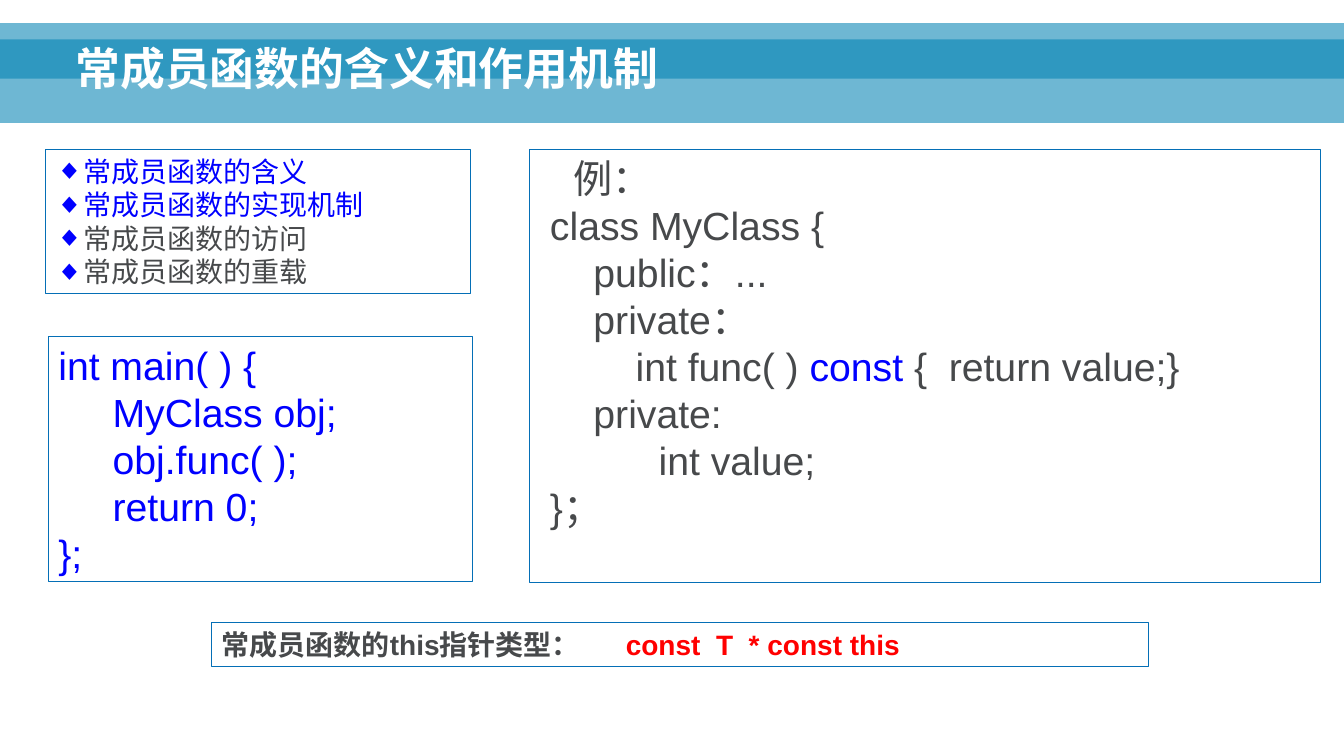
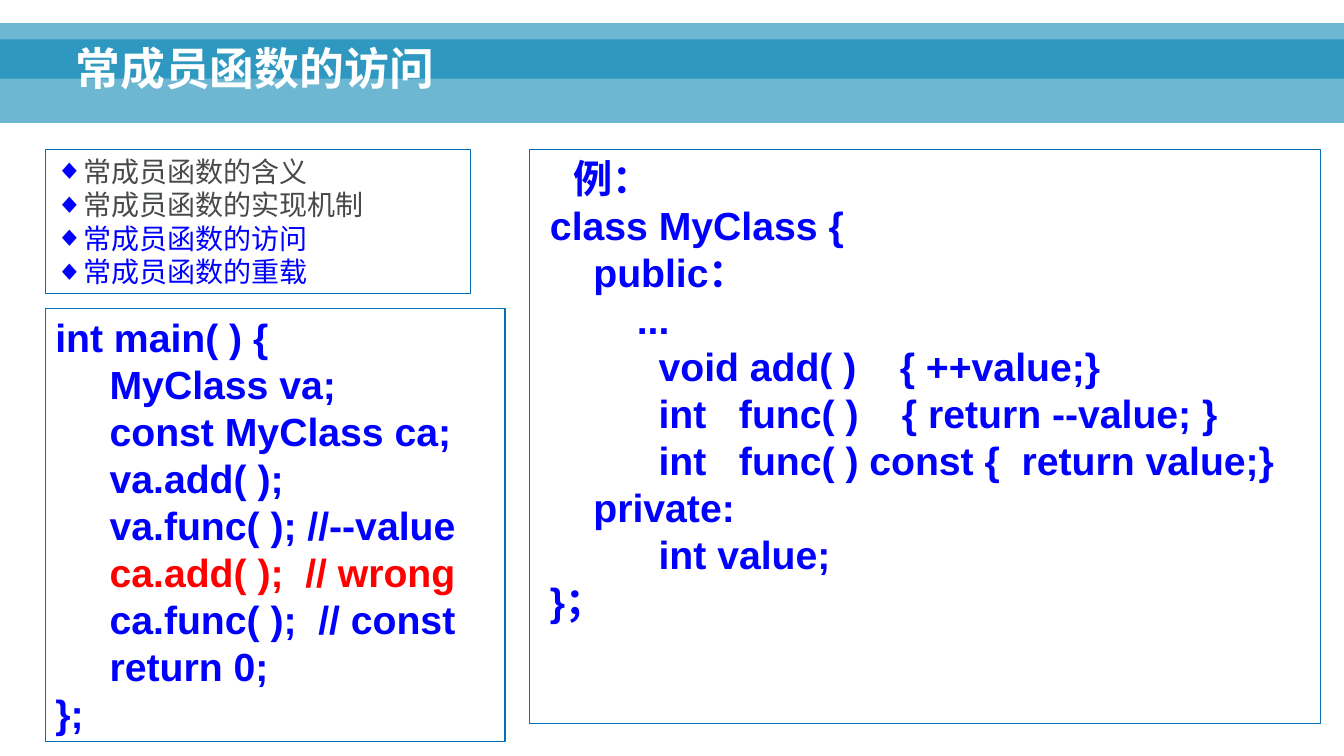
from dataclasses import dataclass

from lxml import etree
from pptx import Presentation
from pptx.dml.color import RGBColor
from pptx.enum.shapes import MSO_SHAPE
from pptx.enum.text import MSO_ANCHOR
from pptx.oxml.ns import qn
from pptx.util import Inches, Pt

RECT = MSO_SHAPE.RECTANGLE
TOP, BOTTOM = MSO_ANCHOR.TOP, MSO_ANCHOR.BOTTOM


@dataclass(frozen=True)
class Theme:
    font: str = "Arial"
    band: str = "0082B3"
    edge: str = "046FB6"
    white: str = "FFFFFF"
    blue: str = "0000FF"
    gray: str = "47494B"
    red: str = "FF0000"
    head: int = 32
    code: int = 28
    body: int = 20
    lead: float = 1.2
    alpha: int = 57


T = Theme()
WIDE, HIGH = Inches(13.333), Inches(7.5)

# Boxes: left, top, width, height in percent of the slide
BANDS = [(0, 5.2, 100, 11.07), (0, 3.07, 100, 7.33)]
TITLE = (4.88, 1.6, 89.85, 11.6)
LIST = (3.38, 19.73, 31.65, 19.07)
CLASS = (39.38, 19.73, 58.88, 57.33)
TALL = (*CLASS[:3], 76)
MAIN = (3.6, 44.53, 31.58, 32.4)
LONG = (3.38, 40.8, 34.2, 57.33)
NOTE = (15.75, 82.4, 69.68, 5.73)

TOPICS = ["常成员函数的含义", "常成员函数的实现机制",
          "常成员函数的访问", "常成员函数的重载"]
LABEL = "例："


def place(box):
    """Turn percent shares into slide lengths."""
    sides = (WIDE, HIGH, WIDE, HIGH)
    return [round(side * part / 100) for side, part in zip(sides, box)]


def write(para, text, color, size, bold=False):
    """Add text in one style, with a line break at each newline."""
    for i, line in enumerate(text.split("\n")):
        if i:
            para.add_line_break()
        if line:
            run = para.add_run()
            run.text = line
            font = run.font
            font.name, font.size, font.bold = T.font, Pt(size), bold
            font.color.rgb = RGBColor.from_string(color)


def rect(slide, box):
    shape = slide.shapes.add_shape(RECT, *place(box))
    shape.shadow.inherit = False
    return shape


def frame(slide, box):
    """Add an outlined box and return its text frame."""
    shape = rect(slide, box)
    shape.fill.background()
    shape.line.color.rgb = RGBColor.from_string(T.edge)
    shape.line.width = Pt(0.75)
    text = shape.text_frame
    text.word_wrap = True
    text.vertical_anchor = TOP
    return text


def rows(text, count, size):
    """Return evenly led, left-aligned paragraphs."""
    paras = [text.paragraphs[0]]
    paras += [text.add_paragraph() for _ in range(count - 1)]
    for para in paras:
        para.alignment = 1
        para.line_spacing = Pt(size * T.lead)
    return paras


def indent(para, left, hang=0.0):
    props = para._p.get_or_add_pPr()
    props.set("marL", str(Inches(left)))
    props.set("indent", str(-Inches(hang)))
    return props


def header(slide, title):
    # Translucent bands
    for box in BANDS:
        band = rect(slide, box)
        band.fill.solid()
        band.fill.fore_color.rgb = RGBColor.from_string(T.band)
        color = band._element.spPr.find(".//" + qn("a:srgbClr"))
        etree.SubElement(color, qn("a:alpha"), val=str(T.alpha * 1000))
        band.line.fill.background()
    # Title
    text = slide.shapes.add_textbox(*place(TITLE)).text_frame
    text.word_wrap = True
    text.vertical_anchor = BOTTOM
    para = text.paragraphs[0]
    para.line_spacing = 0.9
    write(para, title, T.white, T.head, True)


def topics(slide, box, active):
    """List the topics, with the active ones in blue."""
    paras = rows(frame(slide, box), len(TOPICS), T.body)
    for i, (para, topic) in enumerate(zip(paras, TOPICS)):
        props = indent(para, 0.28, 0.28)
        color = etree.SubElement(props, qn("a:buClr"))
        etree.SubElement(color, qn("a:srgbClr"), val=T.blue)
        etree.SubElement(props, qn("a:buFont"), typeface=T.font)
        etree.SubElement(props, qn("a:buChar"), char="◆")
        write(para, topic, T.blue if i in active else T.gray, T.body)


def code(slide, box, parts, bold=False, label=None):
    """Show code given as paragraphs of (text, colour) runs."""
    if label:
        parts = [[(LABEL, label)], *parts]
    paras = rows(frame(slide, box), len(parts), T.code)
    if label:
        indent(paras[0], 0.34)
    for para, runs in zip(paras, parts):
        for text, color in runs:
            write(para, text, color, T.code, bold)


def note(slide, box, label, value):
    para = rows(frame(slide, box), 1, T.body)[0]
    tabs = etree.SubElement(para._p.get_or_add_pPr(), qn("a:tabLst"))
    etree.SubElement(tabs, qn("a:tab"), pos=str(Inches(4.01)), algn="l")
    write(para, label + "\t", T.gray, T.body, True)
    write(para, value, T.red, T.body, True)


def meaning(slide):
    header(slide, "常成员函数的含义和作用机制")
    topics(slide, LIST, (0, 1))
    code(slide, CLASS, [
        [(" class MyClass {\n     public：...", T.gray)],
        [("     private：\n           int func( ) ", T.gray),
         ("const", T.blue), (" {  return value;}", T.gray)],
        [("     private:\n           int value;\n }；", T.gray)],
    ], label=T.gray)
    code(slide, MAIN, [
        [("int main( ) {\n     MyClass obj;\n     obj.func( );\n"
          "     return 0;", T.blue)],
        [("};", T.blue)],
    ])
    note(slide, NOTE, "常成员函数的this指针类型：", "const  T  * const this")


def access(slide):
    header(slide, "常成员函数的访问")
    topics(slide, LIST, (2, 3))
    code(slide, TALL, [
        [(" class MyClass {\n     public：\n           ...\n"
          "           void add( )    { ++value;}\n"
          "           int   func( )    { return --value; }\n"
          "           int   func( ) const {  return value;}", T.blue)],
        [("     private:\n           int value;\n }；", T.blue)],
    ], True, T.blue)
    code(slide, LONG, [
        [("int main( ) {\n     MyClass va;\n     const MyClass ca;\n"
          "     va.add( );\n     va.func( ); //--value\n", T.blue),
         ("     ca.add( );  // wrong\n", T.red),
         ("     ca.func( );  // const\n     return 0;", T.blue)],
        [("};", T.blue)],
    ], True)


def main():
    deck = Presentation()
    deck.slide_width, deck.slide_height = WIDE, HIGH
    for build in (meaning, access):
        build(deck.slides.add_slide(deck.slide_layouts[6]))
    deck.save("out.pptx")


if __name__ == "__main__":
    main()
